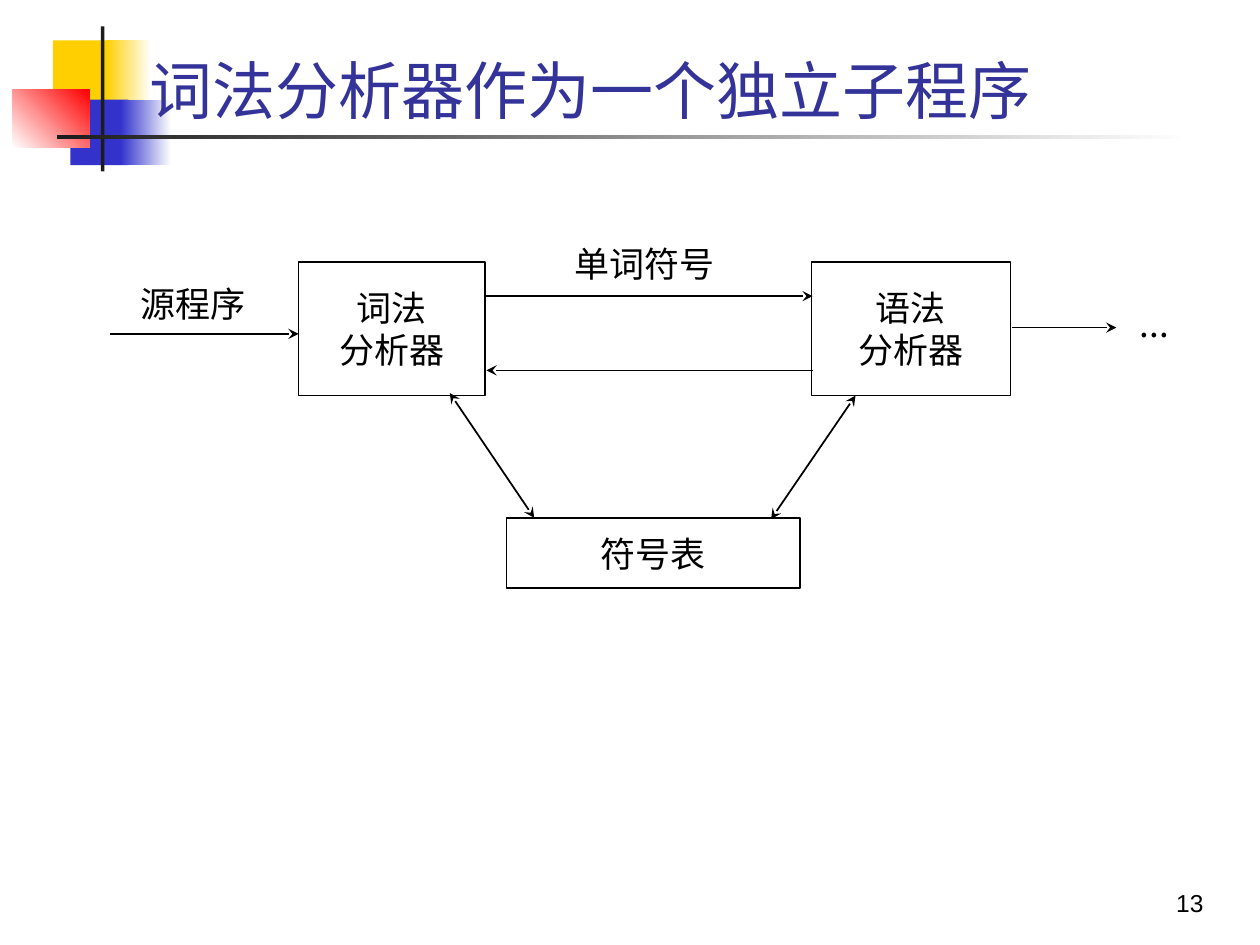
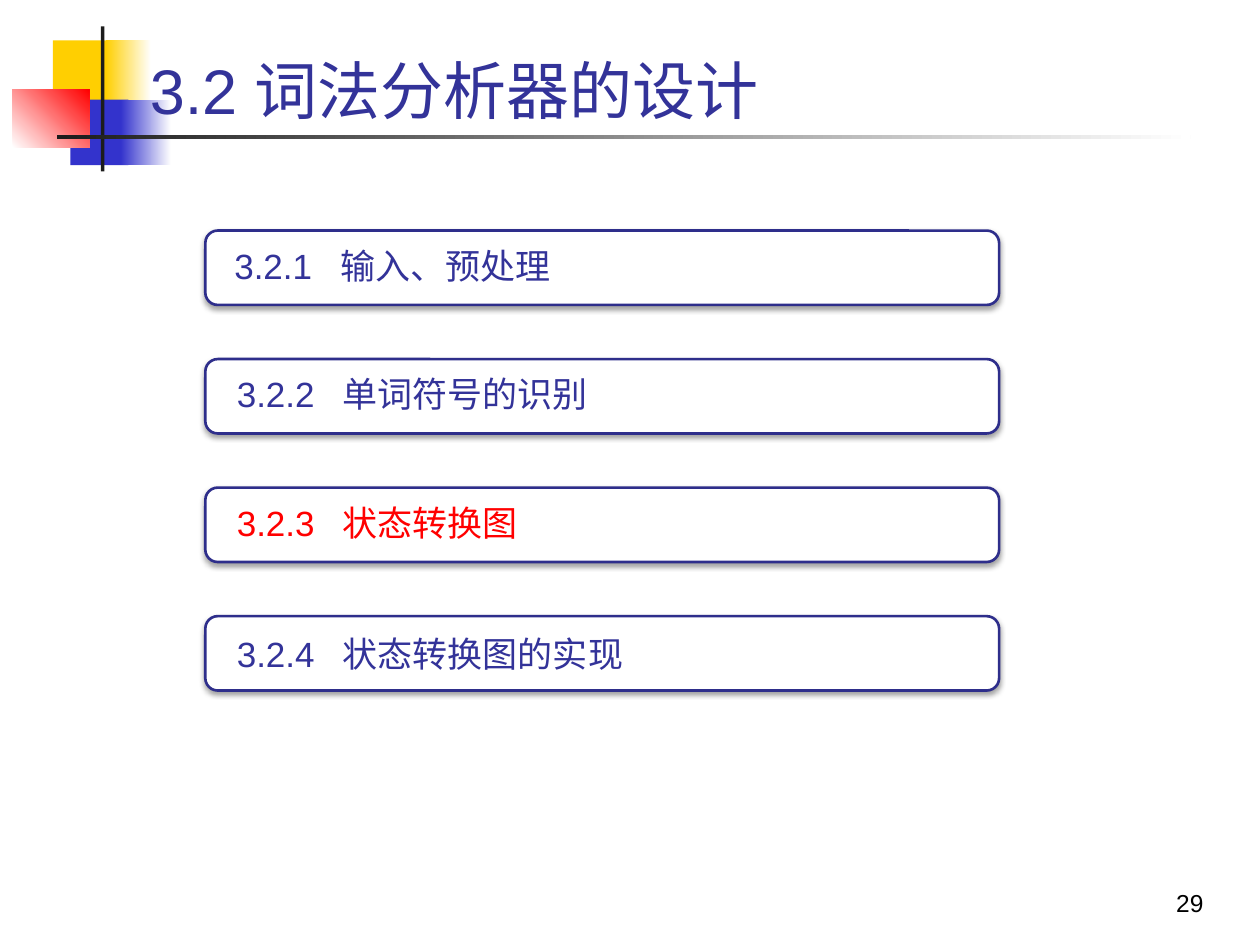
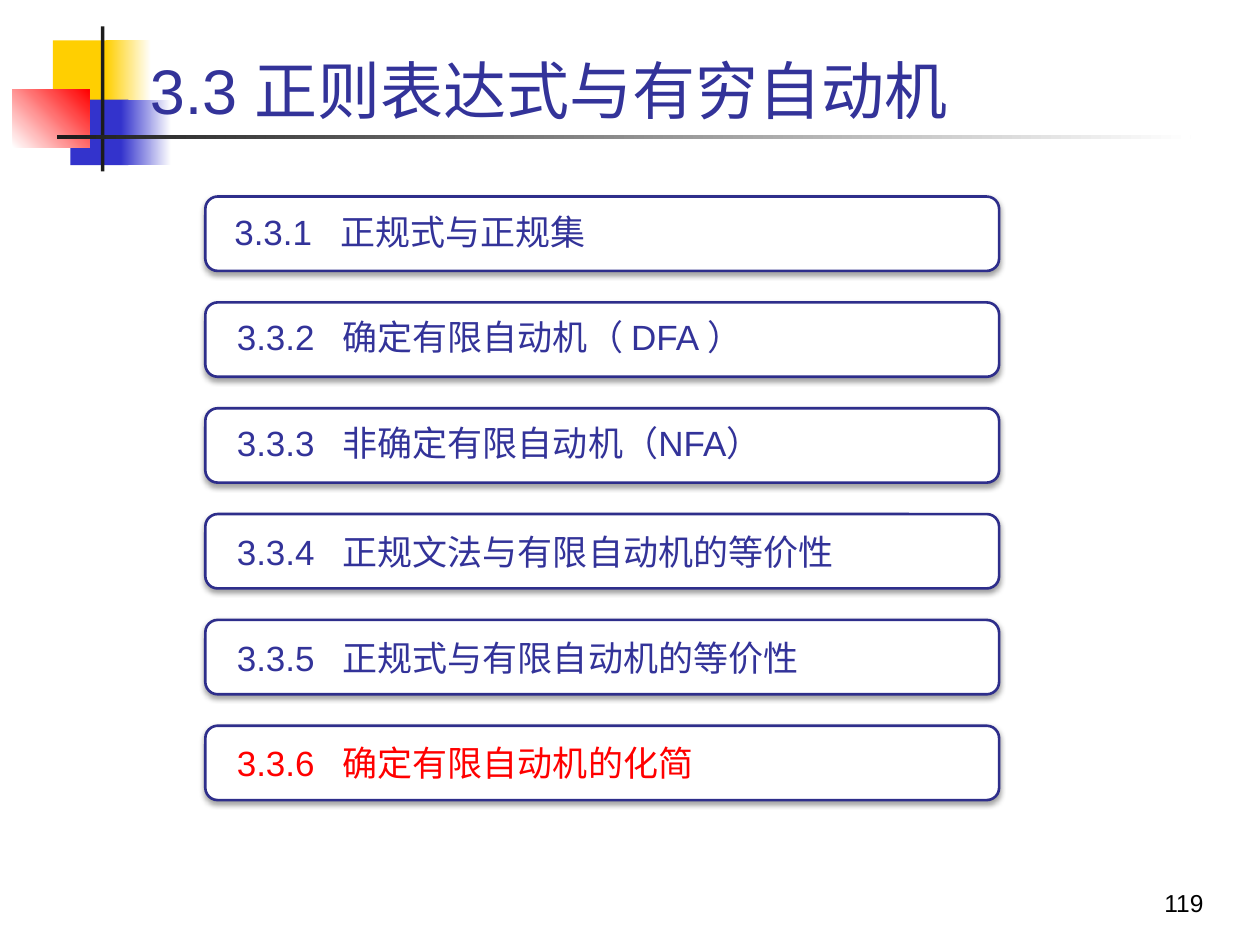
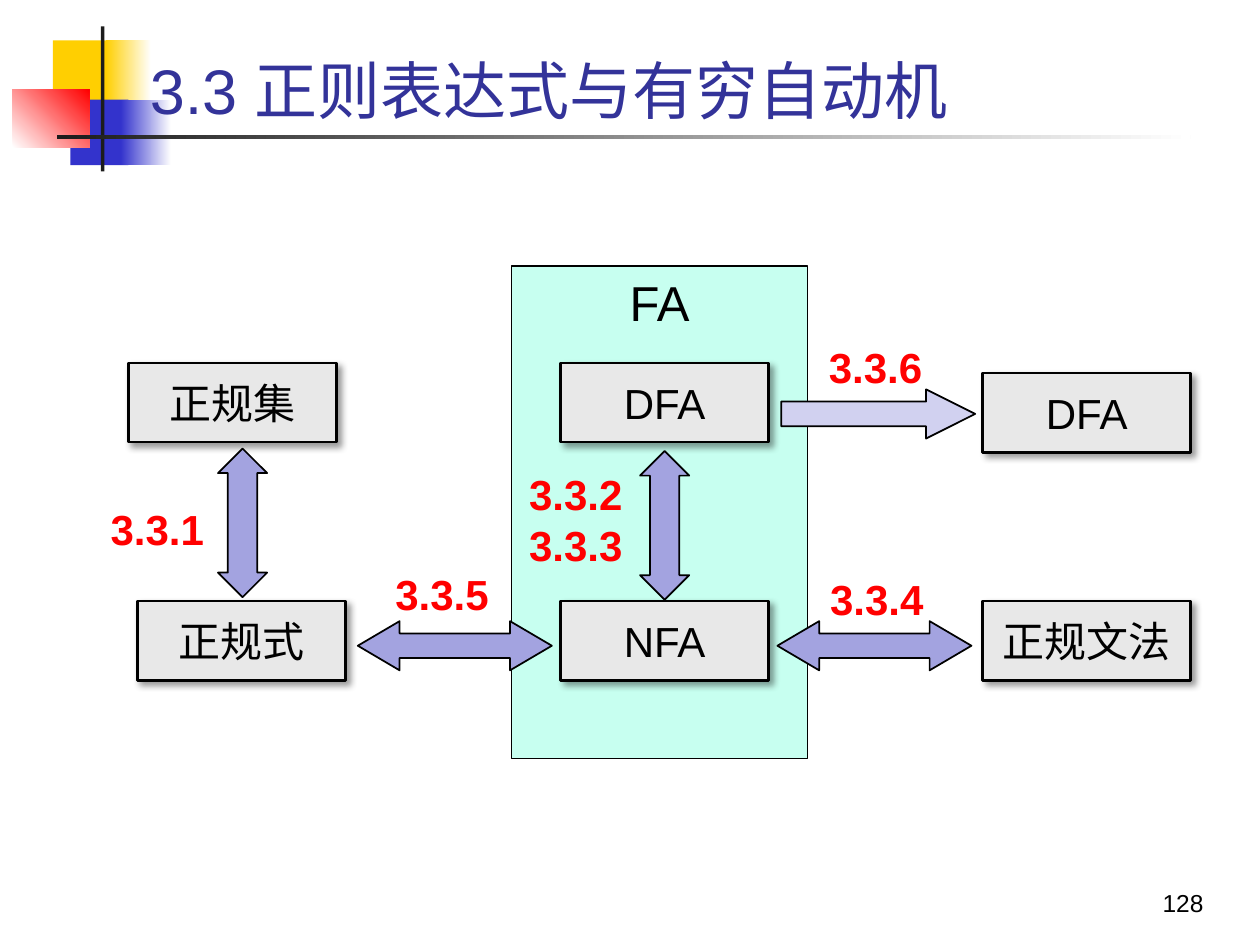
import pptx
import pptx.util
import pptx.dml.color
import pptx.enum.shapes
import pptx.enum.text
import pptx.oxml.ns
from lxml import etree

Inches, Pt = pptx.util.Inches, pptx.util.Pt
SHAPE = pptx.enum.shapes.MSO_SHAPE
ANCHOR = pptx.enum.text.MSO_ANCHOR
ALIGN = pptx.enum.text.PP_ALIGN
qn = pptx.oxml.ns.qn

LATIN, CJK = "Arial", "Noto Sans CJK SC"
BLACK, WHITE, RED, INK = "000000", "FFFFFF", "FF0000", "1C1C1C"
YELLOW, BLUE, NAVY, OUTLINE = "FFCF01", "3333CC", "333399", "2E2E8B"
MINT, GREY, LILAC, PALE_LILAC = "C7FFF0", "E8E8E8", "A3A3E0", "D1D1F0"


def rgb(value):
    """Turn a hex string into a colour."""
    return pptx.dml.color.RGBColor.from_string(value)


def add_xml(parent, tag, **attrs):
    """Append a child element with the given attributes."""
    return etree.SubElement(parent, qn(tag), {k: str(v) for k, v in attrs.items()})


def write(sp, lines, size, color=BLACK, font=LATIN, align=ALIGN.CENTER,
          anchor=ANCHOR.MIDDLE, wrap=False, bold=False):
    """Fill a shape with one paragraph per line and return its text frame."""
    tf = sp.text_frame
    tf.word_wrap, tf.vertical_anchor = wrap, anchor
    for i, line in enumerate(lines):
        p = tf.paragraphs[0] if i == 0 else tf.add_paragraph()
        p.add_run().text = line
        p.alignment = align
        p.font.size, p.font.bold, p.font.name = Pt(size), bold, font
        p.font.color.rgb = rgb(color)
        add_xml(p._p.pPr.find(qn("a:defRPr")), "a:ea", typeface=CJK)
    return tf


def label(s, box, lines, size, **style):
    """Add a text box."""
    sp = s.shapes.add_textbox(*map(Inches, box))
    return write(sp, lines, size, **style)


def shape(s, kind, box, fill=None, line=None, width=1, adj=()):
    """Add a preset shape with an optional plain fill and outline."""
    sp = s.shapes.add_shape(kind, *map(Inches, box))
    sp.shadow.inherit = False
    if fill:
        sp.fill.solid()
        sp.fill.fore_color.rgb = rgb(fill)
    else:
        sp.fill.background()
    if line:
        sp.line.color.rgb, sp.line.width = rgb(line), Pt(width)
    else:
        sp.line.fill.background()
    for i, value in enumerate(adj):
        sp.adjustments[i] = value
    return sp


def cast_shadow(sp, blur, dist, angle, alpha):
    """Give a shape a soft black outer shadow."""
    effects = sp._element.spPr.find(qn("a:effectLst"))
    shadow = add_xml(effects, "a:outerShdw", blurRad=Pt(blur), dist=Pt(dist),
                     dir=angle * 60000, rotWithShape=0)
    add_xml(add_xml(shadow, "a:srgbClr", val=BLACK), "a:alpha", val=alpha * 1000)


def arrow(s, start, end, double=False):
    """Draw a thin line with stealth heads."""
    c = s.shapes.add_connector(pptx.enum.shapes.MSO_CONNECTOR.STRAIGHT,
                               *map(Inches, (*start, *end)))
    c.line.color.rgb, c.line.width = rgb(BLACK), Pt(1)
    ln = c._element.spPr.find(qn("a:ln"))
    if double:
        add_xml(ln, "a:headEnd", type="stealth")
    add_xml(ln, "a:tailEnd", type="stealth")
    add_xml(c._element.spPr, "a:effectLst")


def emblem(s, left, top):
    """Draw the coloured squares and the crossing rules beside the title."""
    parts = [
        ((0.32, 0.11, 0.48, 0.52), YELLOW, None, 0),
        ((0.74, 0.11, 0.36, 0.52), YELLOW, WHITE, 0),
        ((0.46, 0.58, 0.46, 0.52), BLUE, None, 0),
        ((0.86, 0.58, 0.4, 0.52), BLUE, WHITE, 0),
        ((0, 0.5, 0.61, 0.46), WHITE, RED, 45),
        ((0.7, 0, 0.03, 1.15), INK, None, 0),
        ((0.35, 0.86, 9, 0.03), INK, WHITE, 0),
    ]
    for (x, y, w, h), start, end, angle in parts:
        sp = shape(s, SHAPE.RECTANGLE, (left + x, top + y, w, h), start)
        if end:
            sp.fill.gradient()
            sp.fill.gradient_angle = angle
            for stop, color in zip(sp.fill.gradient_stops, (start, end)):
                stop.color.rgb = rgb(color)


def new_slide(prs, title, number):
    """Add a slide with the shared emblem, title and page number."""
    s = prs.slides.add_slide(prs.slide_layouts[6])
    emblem(s, 0.1, 0.21)
    label(s, (1.09, 0.22, 8.52, 0.84), [title], 36, color=NAVY,
          align=ALIGN.LEFT, anchor=ANCHOR.BOTTOM, wrap=True)
    label(s, (7.57, 6.83, 2.08, 0.5), [str(number)], 14,
          align=ALIGN.RIGHT, anchor=ANCHOR.BOTTOM, wrap=True)
    return s


def agenda(s, left, top, pitch, chapter, topics, current):
    """Stack numbered topic bars and mark the current one in red."""
    for i, topic in enumerate(topics):
        y = top + i * pitch
        bar = shape(s, SHAPE.ROUNDED_RECTANGLE, (left, y, 6.3, 0.59), WHITE, OUTLINE, 1.5)
        cast_shadow(bar, 3.1, 1.6, 90, 38)
        inset = 0.03 if i == 0 else 0.05
        tf = label(s, (left + inset, y + 0.03, 6.3 - 2 * inset, 0.53),
                   [f"{chapter}.{i + 1}\t{topic}"], 20,
                   color=RED if i + 1 == current else NAVY, align=ALIGN.LEFT, wrap=True)
        tf.margin_left = tf.margin_right = Inches(0.2)
        tf.margin_top = tf.margin_bottom = 0
        p = tf.paragraphs[0]
        if i < 3:
            p.line_spacing = 0.9
        tabs = etree.Element(qn("a:tabLst"))
        add_xml(tabs, "a:tab", pos=Inches(0.84), algn="l")
        p._p.pPr.find(qn("a:defRPr")).addprevious(tabs)


def lexer_flow(s, left, top):
    """Draw the lexer, the parser and their shared symbol table."""
    boxes = [
        ((1.67, 0.36, 1.48, 1.06), ["词法", "分析器"]),
        ((5.74, 0.36, 1.58, 1.06), ["语法", "分析器"]),
        ((3.32, 2.39, 2.33, 0.56), ["符号表"]),
    ]
    for (x, y, w, h), lines in boxes:
        sp = shape(s, SHAPE.RECTANGLE, (left + x, top + y, w, h), line=BLACK)
        write(sp, lines, 20, font=CJK)
    for x, y, w, text in [(0, 0.31, 1.67, "源程序"), (3.58, 0, 1.67, "单词符号"),
                          (8, 0.47, 0.92, "...")]:
        label(s, (left + x, top + y, w, 0.75), [text], 20, font=CJK)
    flows = [
        (0.17, 0.93, 1.67, 0.93, False),
        (3.16, 0.63, 5.75, 0.63, False),
        (5.75, 1.22, 3.16, 1.22, False),
        (2.87, 1.4, 3.54, 2.39, True),
        (6.09, 1.42, 5.42, 2.4, True),
        (7.33, 0.88, 8.16, 0.88, False),
    ]
    for x1, y1, x2, y2, double in flows:
        arrow(s, (left + x1, top + y1), (left + x2, top + y2), double)


def automata_map(s, left, top):
    """Draw how regular sets, expressions, grammars and automata relate."""
    panel = shape(s, SHAPE.RECTANGLE, (left + 3.28, top, 2.35, 3.91), MINT, BLACK)
    write(panel, ["FA"], 28, anchor=ANCHOR.TOP)
    nodes = [
        (0.24, 0.77, "正规集", CJK), (0.31, 2.66, "正规式", CJK),
        (3.67, 0.77, "DFA", LATIN), (3.67, 2.66, "NFA", LATIN),
        (7.02, 2.66, "正规文法", CJK), (7.02, 0.85, "DFA", LATIN),
    ]
    for x, y, text, font in nodes:
        sp = shape(s, SHAPE.RECTANGLE, (left + x, top + y, 1.65, 0.63), GREY, BLACK, 1.5)
        cast_shadow(sp, 4, 3, 45, 40)
        write(sp, [text], 24, font=font)
    across, upright = (1.54, 0.39), (0.39, 1.18)
    arrows = [
        (SHAPE.LEFT_RIGHT_ARROW, 2.06, 2.82, across, 0.85, LILAC),
        (SHAPE.LEFT_RIGHT_ARROW, 5.39, 2.82, across, 0.85, LILAC),
        (SHAPE.UP_DOWN_ARROW, 0.95, 1.45, upright, 0.6, LILAC),
        (SHAPE.UP_DOWN_ARROW, 4.3, 1.47, upright, 0.6, LILAC),
        (SHAPE.RIGHT_ARROW, 5.42, 0.98, across, 1, PALE_LILAC),
    ]
    for kind, x, y, size, head, fill in arrows:
        shape(s, kind, (left + x, top + y, *size), fill, BLACK, adj=(0.5, head))
    sections = [(0, 1.84, "3.3.1"), (5.71, 2.39, "3.3.4"),
                (2.26, 2.35, "3.3.5"), (5.7, 0.55, "3.3.6")]
    style = dict(color=RED, bold=True, anchor=ANCHOR.TOP)
    for x, y, text in sections:
        label(s, (left + x, top + y, 0.94, 0.5), [text], 24, align=ALIGN.LEFT, **style)
    label(s, (left + 3.28, top + 1.56, 1.02, 0.91), ["3.3.2", "3.3.3"], 24,
          wrap=True, **style)


def main():
    """Build the four slides."""
    prs = pptx.Presentation()
    prs.slide_width, prs.slide_height = Inches(10), Inches(7.5)
    lexer_flow(new_slide(prs, "词法分析器作为一个独立子程序", 13), 0.7, 1.72)
    agenda(new_slide(prs, "3.2 词法分析器的设计", 29), 1.63, 1.83, 1.02, "3.2",
           ["输入、预处理", "单词符号的识别", "状态转换图", "状态转换图的实现"], 3)
    automata_title = "3.3 正则表达式与有穷自动机"
    agenda(new_slide(prs, automata_title, 119), 1.63, 1.56, 0.84, "3.3",
           ["正规式与正规集", "确定有限自动机（ DFA ）", "非确定有限自动机（NFA）",
            "正规文法与有限自动机的等价性", "正规式与有限自动机的等价性",
            "确定有限自动机的化简"], 6)
    automata_map(new_slide(prs, automata_title, 128), 0.78, 2.11)
    prs.save("out.pptx")


main()
